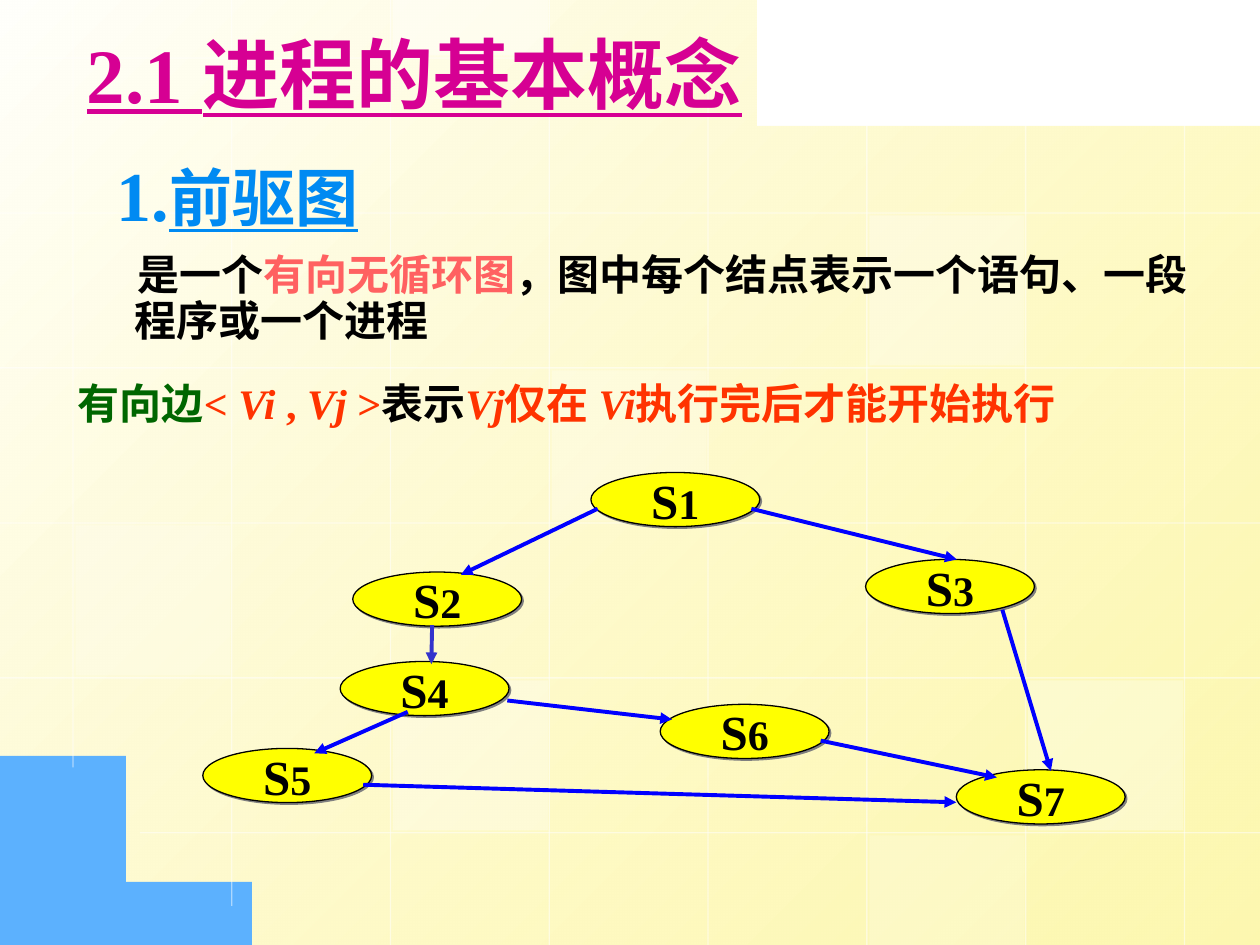
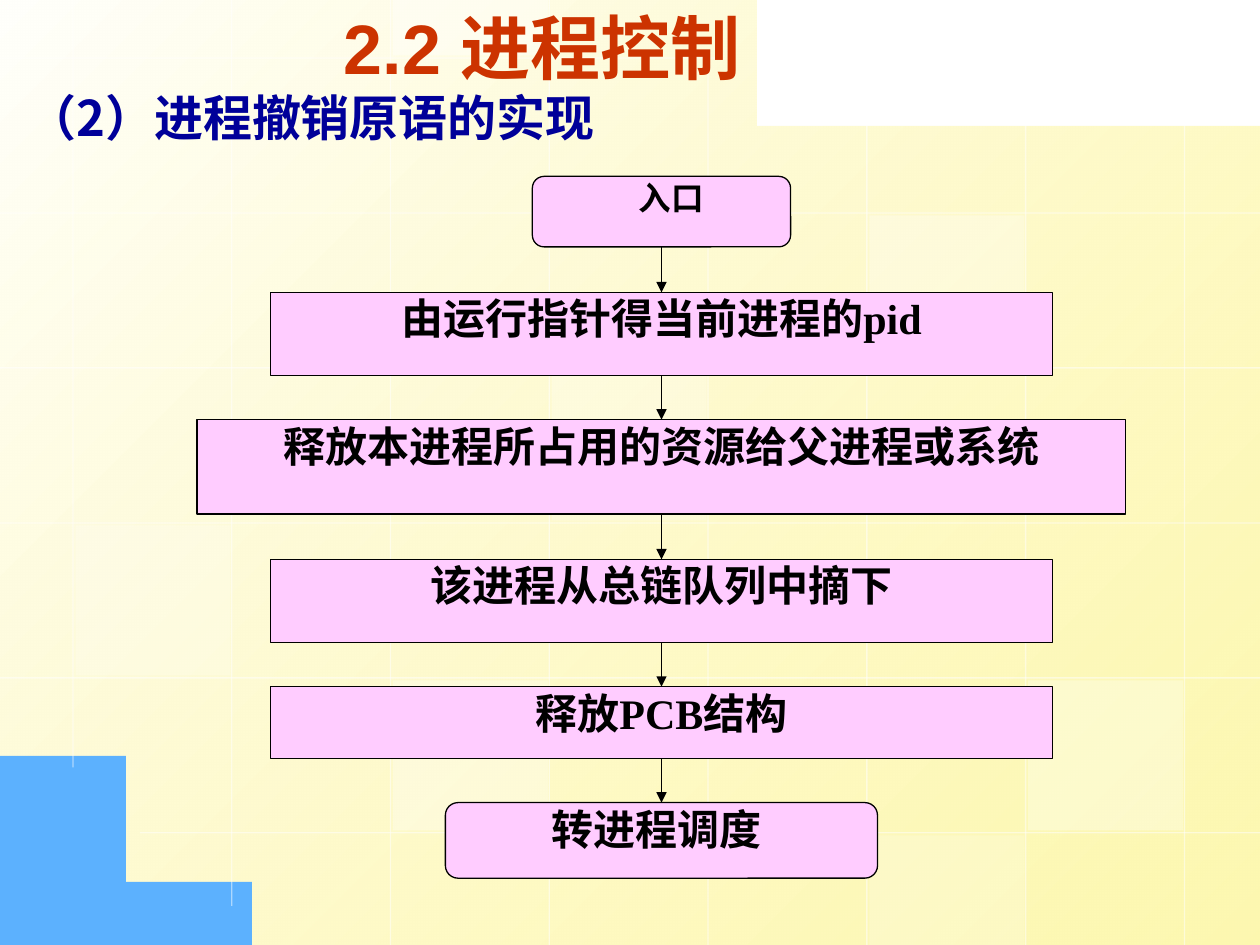
"""Builds two lecture slides on processes: a precedence graph and a flow of steps."""
from dataclasses import dataclass
from lxml.etree import SubElement
from pptx import Presentation
from pptx.dml.color import RGBColor as Rgb
from pptx.enum.shapes import MSO_CONNECTOR as Link, MSO_SHAPE as Preset
from pptx.enum.text import MSO_ANCHOR as Anchor, MSO_AUTO_SIZE as Fit, PP_ALIGN as Align
from pptx.oxml.ns import qn
from pptx.util import Inches, Pt


@dataclass(frozen=True)
class Theme:
    """Colours, fonts and type sizes."""
    serif: str = "Times New Roman"
    sans: str = "Arial"
    han: str = "Noto Sans CJK SC"
    paper: str = "FFFFFB"
    cream: str = "FDF58D"
    white: str = "FFFFFF"
    corner: str = "5CB1FE"
    ink: str = "000000"
    magenta: str = "D60093"
    rust: str = "CC3300"
    sky: str = "008AF2"
    navy: str = "000099"
    coral: str = "FF6161"
    green: str = "006600"
    red: str = "FF3300"
    node: str = "FFFF00"
    step: str = "FFCCFF"
    edge: str = "0000FF"
    short_edge: str = "3333CC"
    shade: str = "808080"
    title: int = 44
    chapter: int = 40
    heading: int = 36
    label: int = 28
    body: int = 24
    entry: float = 18.6
    thin: float = 0.75
    thick: float = 2.25
    leading: float = 0.9


T = Theme()
WIDE, HIGH = 10, 7.5

GRID_X, GRID_Y, COLUMN, ROW = 0.58, 0.46, 1.26, 1.23
COLUMN_SPANS = [(0, 6.09), (0, 7.19), (0, HIGH), (0, HIGH),
                (0.43, HIGH), (0.68, HIGH), (0.85, HIGH), (0.98, HIGH)]
ROW_SPANS = [(0, 5.68)] + [(0, WIDE)] * 4 + [(1.11, WIDE)]
TILES = [(3, 2, 25), (6, 4, 30), (0, 3, 20), (5, 5, 20), (2, -1, 40), (2, 4, 30), (5, 1, 30)]
PAPER = [[(WIDE, 1.04)], [(WIDE, HIGH)],
         [(2.3, HIGH), (0.86, 6.61), (0, 5.39), (0, 5.39)], [(0, 0)],
         [(4.21, 0), (4.21, 0), (5.37, 0.69), (WIDE, 1.04)]]
CORNER = [[(0.01, HIGH)], [(2.03, HIGH), (2.03, HIGH), (1.12, 7.09), (0.01, 5.59)]]

GRAPH_TITLE = [("2.1 进程的基本概念", T.magenta, T.title, {"underline": True})]
GRAPH_HEADING = [("1.", T.sky, T.chapter, {}), ("前驱图", T.sky, T.heading, {"underline": True})]
DEFINITION = [("是一个", T.ink, T.body, {}), ("有向无循环图", T.coral, T.body, {}),
              ("，图中每个结点表示一个语句、一段程序或一个进程", T.ink, T.body, {})]
SLANT = {"italic": True}
EDGE_MEANING = [("有向边", T.green, T.body, {}), ("<", T.red, T.body, {}),
                (" Vi ", T.red, T.body, SLANT), (", ", T.red, T.body, {}),
                ("Vj", T.red, T.body, SLANT), (" >", T.red, T.body, {}),
                ("表示", T.ink, T.body, {}), ("Vj", T.red, T.body, SLANT),
                ("仅在 ", T.red, T.body, {}), ("Vi", T.red, T.body, SLANT),
                ("执行完后才能开始执行", T.red, T.body, {})]
NODE_SIZE = (1.34, 0.43)
NODES = {"S1": (4.69, 3.75), "S2": (2.8, 4.54), "S3": (6.87, 4.44), "S4": (2.7, 5.25),
         "S5": (1.61, 5.94), "S6": (5.24, 5.59), "S7": (7.59, 6.11)}
EDGES = [("S1", (0.04, 0.67), "S2", (0.64, 0.05), T.edge),
         ("S1", (0.95, 0.67), "S3", (0.54, 0), T.edge),
         ("S2", (0.47, 0.98), "S4", (0.54, 0.05), T.short_edge),
         ("S3", (0.81, 0.93), "S7", (0.56, 0.02), T.edge),
         ("S4", (0.4, 0.93), "S5", (0.66, 0.09), T.edge),
         ("S4", (0.99, 0.72), "S6", (0.07, 0.28), T.edge),
         ("S6", (0.95, 0.67), "S7", (0.24, 0.14), T.edge),
         ("S5", (0.95, 0.67), "S7", (0, 0.6), T.edge)]

FLOW_TITLE = [("2.2 进程控制", T.rust, T.chapter, {"name": T.sans})]
FLOW_HEADING = [("（2）", T.navy, T.label, {"name": T.han}),
                ("进程撤销原语的实现", T.navy, T.label, {})]
FLOW_CENTRE = 5.25
BOX, ROUND = Preset.RECTANGLE, Preset.ROUNDED_RECTANGLE
STEPS = [("入口", ROUND, 2.05, 1.4, 0.56, T.entry, 0.75, 0.08, 0.06),
         ("由运行指针得当前进程的pid", BOX, 6.21, 2.32, 0.66, T.body, T.leading, 0, 0.05),
         ("释放本进程所占用的资源给父进程或系统", BOX, 7.37, 3.33, 0.75, T.body, T.leading, 0, 0.05),
         ("该进程从总链队列中摘下", BOX, 6.21, 4.44, 0.66, T.body, T.leading, 0, 0.05),
         ("释放PCB结构", BOX, 6.21, 5.45, 0.57, T.body, T.leading, 0, 0.05),
         ("转进程调度", ROUND, 3.43, 6.37, 0.6, T.body, T.leading, -0.04, 0.02)]


def inches(*lengths):
    return [Inches(length) for length in lengths]


def fade(color, percent):
    SubElement(color, qn("a:alpha")).set("val", str(percent * 1000))


def first_color(part):
    return next(part.element.spPr.iter(qn("a:srgbClr")))


def paint(part, fill, line=None):
    part.shadow.inherit = False
    part.fill.solid()
    part.fill.fore_color.rgb = Rgb.from_string(fill)
    if line:
        part.line.color.rgb = Rgb.from_string(line)
        part.line.width = Pt(T.thin)
    else:
        part.line.fill.background()
    return part


def write(part, runs, spacing=T.leading, align=Align.LEFT, anchor=Anchor.TOP, wrap=True):
    frame = part.text_frame
    for key, value in {"auto_size": Fit.NONE, "word_wrap": wrap, "vertical_anchor": anchor}.items():
        setattr(frame, key, value)
    paragraph = frame.paragraphs[0]
    paragraph.alignment, paragraph.line_spacing = align, spacing
    for text, color, size, extra in runs:
        run = paragraph.add_run()
        run.text = text
        for key, value in {"name": T.serif, "size": Pt(size), "bold": True, **extra}.items():
            setattr(run.font, key, value)
        run.font.color.rgb = Rgb.from_string(color)
        SubElement(run.font._element, qn("a:ea")).set("typeface", T.han)
    return paragraph


def write_box(slide, place, runs, **options):
    return write(slide.shapes.add_textbox(*inches(*place)), runs, **options)


def write_title(slide, place, runs, **options):
    for key, value in zip(("left", "top", "width", "height"), inches(*place)):
        setattr(slide.shapes.title, key, value)
    write(slide.shapes.title, runs, **options)


def draw_line(shapes, start, end, color, width, arrow=False):
    line = shapes.add_connector(Link.STRAIGHT, *inches(*start, *end))
    line.line.color.rgb = Rgb.from_string(color)
    line.line.width = Pt(width)
    if arrow:
        SubElement(line.element.spPr.find(qn("a:ln")), qn("a:tailEnd")).set("type", "triangle")
    SubElement(line.element.spPr, qn("a:effectLst"))
    return line


def bezier(points, count=24):
    for i in range(count + 1):
        t = i / count
        weights = ((1 - t) ** 3, 3 * t * (1 - t) ** 2, 3 * t * t * (1 - t), t ** 3)
        yield tuple(sum(w * p[axis] for w, p in zip(weights, points)) for axis in (0, 1))


def draw_outline(shapes, pieces, fill):
    points = [p for piece in pieces for p in (bezier(piece) if len(piece) == 4 else piece)]
    builder = shapes.build_freeform(*points[0], scale=Inches(1))
    builder.add_line_segments(points[1:], close=True)
    return paint(builder.convert_to_shape(), fill)


def draw_backdrop(shapes):
    paper = draw_outline(shapes, PAPER, T.paper)
    paper.fill.gradient()
    paper.fill.gradient_angle = 315
    for stop, color in zip(paper.fill.gradient_stops, (T.paper, T.cream)):
        stop.color.rgb = Rgb.from_string(color)
    for stop, position in zip(paper.fill.gradient_stops, (0, 1)):
        stop.position = position
    fade(list(paper.element.spPr.iter(qn("a:srgbClr")))[-1], 70)
    draw_outline(shapes, CORNER, T.corner)
    columns = [((GRID_X + i * COLUMN, a), (GRID_X + i * COLUMN, b))
               for i, (a, b) in enumerate(COLUMN_SPANS)]
    rows = [((a, GRID_Y + i * ROW), (b, GRID_Y + i * ROW)) for i, (a, b) in enumerate(ROW_SPANS)]
    for start, end in columns + rows:
        fade(first_color(draw_line(shapes, start, end, T.white, T.thin)), 50)
    for column, row, percent in TILES:
        top = max(0, GRID_Y + row * ROW + 0.02)
        bottom = min(HIGH, GRID_Y + (row + 1) * ROW - 0.02)
        place = (GRID_X + column * COLUMN + 0.02, top, COLUMN - 0.03, bottom - top)
        fade(first_color(paint(shapes.add_shape(BOX, *inches(*place)), T.white)), percent)


def share_backdrop(slide, master):
    kept = list(slide.shapes.element)
    draw_backdrop(slide.shapes)
    drawn = [element for element in slide.shapes.element if element not in kept]
    for position, element in enumerate(drawn, 2):
        master.shapes.element.insert(position, element)


def draw_node(slide, name, corner):
    node = paint(slide.shapes.add_shape(Preset.OVAL, *inches(*corner, *NODE_SIZE)), T.node, T.ink)
    shadow = SubElement(node.element.spPr.find(qn("a:effectLst")), qn("a:outerShdw"))
    for key, value in {"dist": Pt(1.4), "dir": 45 * 60000, "algn": "ctr", "rotWithShape": 0}.items():
        shadow.set(key, str(value))
    SubElement(shadow, qn("a:srgbClr")).set("val", T.shade)
    write(node, [(name[0], T.ink, T.label, {}), (name[1:], T.ink, T.body, {})],
          spacing=1.0, align=Align.CENTER, anchor=Anchor.MIDDLE, wrap=False)


def port(name, share):
    return [at + part * size for at, part, size in zip(NODES[name], share, NODE_SIZE)]


def build_graph(slide):
    write_title(slide, (0.59, 0.24, 7.4, 0.94), GRAPH_TITLE)
    write_box(slide, (0.83, 1.15, 4.09, 0.85), GRAPH_HEADING, spacing=1.0)
    definition = write_box(slide, (0.59, 1.97, 9.21, 1), DEFINITION)
    for key, value in {"marL": 0.38, "indent": 0.02}.items():
        definition._p.get_or_add_pPr().set(key, str(Inches(value)))
    write_box(slide, (0.52, 2.95, 8.8, 0.6), EDGE_MEANING, spacing=1.0)
    for name, corner in NODES.items():
        draw_node(slide, name, corner)
    for source, leave, target, arrive, color in EDGES:
        draw_line(slide.shapes, port(source, leave), port(target, arrive), color, T.thick, True)


def build_flow(slide):
    write_title(slide, (2.63, -0.03, 5.05, 0.8), FLOW_TITLE, spacing=1.0, anchor=Anchor.MIDDLE)
    write_box(slide, (0.12, 0.7, 6.06, 0.66), FLOW_HEADING)
    for text, kind, width, top, height, size, spacing, shift, inset in STEPS:
        place = inches(FLOW_CENTRE - width / 2, top, width, height)
        step = paint(slide.shapes.add_shape(kind, *place), T.step, T.ink)
        margins = {"margin_left": 0.1 + shift, "margin_right": 0.1 - shift, "margin_top": inset}
        for key, value in margins.items():
            setattr(step.text_frame, key, Inches(value))
        write(step, [(text, T.ink, size, {})], spacing=spacing, align=Align.CENTER)
    for (*_, above, tall, _, _, _, _), (_, _, _, below, *_) in zip(STEPS, STEPS[1:]):
        draw_line(slide.shapes, (FLOW_CENTRE, above + tall), (FLOW_CENTRE, below),
                  T.ink, T.thin, True)


def main():
    deck = Presentation()
    deck.slide_width, deck.slide_height = inches(WIDE, HIGH)
    graph, flow = [deck.slides.add_slide(deck.slide_layouts[5]) for _ in range(2)]
    share_backdrop(graph, deck.slide_master)
    build_graph(graph)
    build_flow(flow)
    deck.save("out.pptx")


if __name__ == "__main__":
    main()
